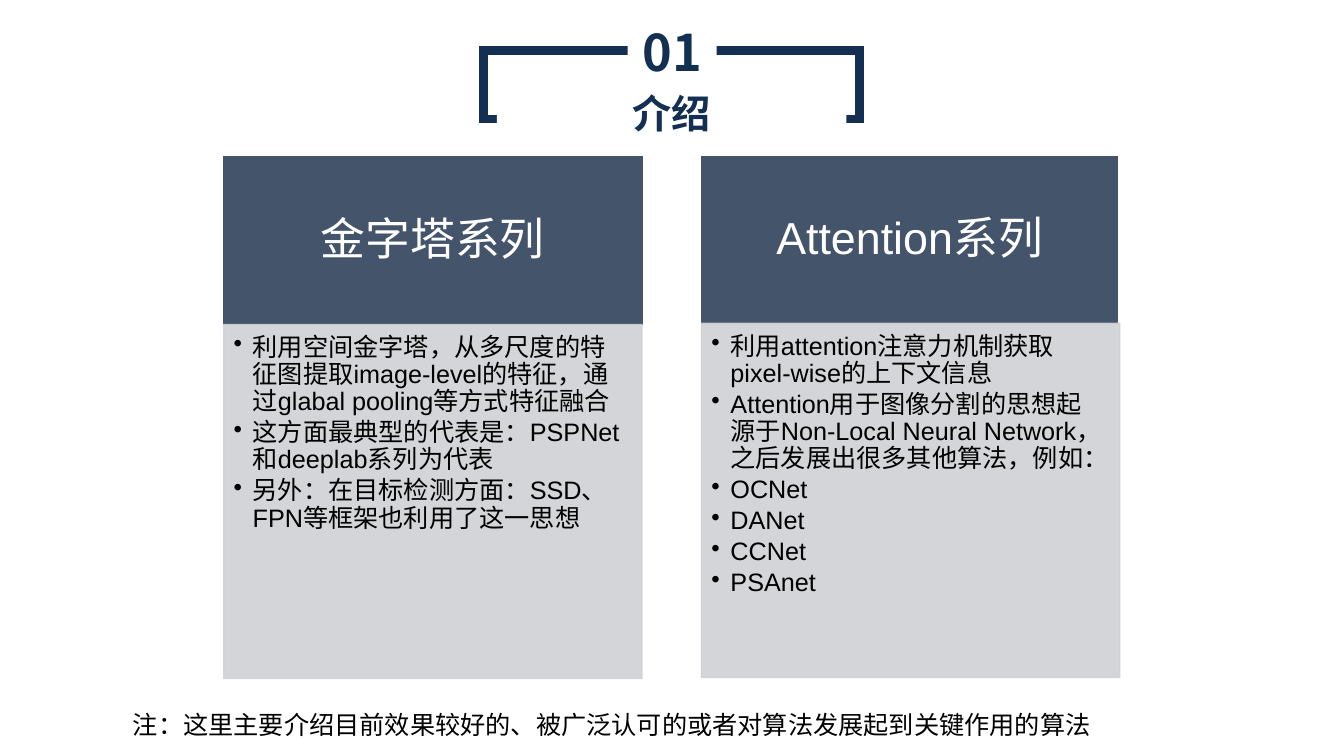
import lxml.etree
import pptx
import pptx.dml.color
import pptx.enum.shapes
import pptx.enum.text
import pptx.oxml.ns
import pptx.util

Cm = pptx.util.Cm
Pt = pptx.util.Pt
qn = pptx.oxml.ns.qn
ALIGN = pptx.enum.text.PP_ALIGN
ANCHOR = pptx.enum.text.MSO_ANCHOR

COLORS = {
    "navy": "132F52",
    "slate": "44546A",
    "grey": "CFD1D4",
    "white": "FFFFFF",
    "black": "000000",
}
PANEL_WIDTH = 10.54
PANEL_TOP = 3.96
BODY_HEIGHT = 8.92
BULLET_INDENT = 0.48

PANELS = [
    # title, left, header width, header height, points
    ("金字塔系列", 5.64, 10.54, 4.22, [
        "利用空间金字塔，从多尺度的特征图提取image-level的特征，通过glabal pooling等方式特征融合",
        "这方面最典型的代表是：PSPNet和deeplab系列为代表",
        "另外：在目标检测方面：SSD、FPN等框架也利用了这一思想",
    ]),
    ("Attention系列", 17.68, 10.49, 4.19, [
        "利用attention注意力机制获取pixel-wise的上下文信息",
        "Attention用于图像分割的思想起源于Non-Local Neural Network，之后发展出很多其他算法，例如：",
        "OCNet",
        "DANet",
        "CCNet",
        "PSAnet",
    ]),
]


def rgb(name):
    return pptx.dml.color.RGBColor.from_string(COLORS[name])


def add_rectangle(slide, box, fill=None, line=None, line_width=1):
    shape = slide.shapes.add_shape(
        pptx.enum.shapes.MSO_SHAPE.RECTANGLE, *(Cm(length) for length in box))
    shape.shadow.inherit = False
    if fill:
        shape.fill.solid()
        shape.fill.fore_color.rgb = rgb(fill)
    else:
        shape.fill.background()
    if line:
        shape.line.color.rgb = rgb(line)
        shape.line.width = Pt(line_width)
        lxml.etree.SubElement(shape.line._ln, qn("a:miter"), lim="800000")
    else:
        shape.line.fill.background()
    return shape


def set_opacity(shape, percent):
    """Apply the opacity to the fill and the outline."""
    for color in shape._element.spPr.iter(qn("a:srgbClr")):
        lxml.etree.SubElement(color, qn("a:alpha"), val=str(percent * 1000))


def set_frame(shape, anchor, insets):
    """Set wrapping, anchor and the left, top, right, bottom insets."""
    frame = shape.text_frame
    frame.word_wrap = True
    frame.vertical_anchor = anchor
    (frame.margin_left, frame.margin_top,
     frame.margin_right, frame.margin_bottom) = (Cm(inset) for inset in insets)
    return frame


def write(paragraph, text, size, color, align=ALIGN.CENTER, bold=False,
          font="Arial"):
    paragraph.alignment = align
    run = paragraph.add_run()
    run.text = text
    run.font.name = font
    run.font.size = Pt(size)
    run.font.bold = bold
    run.font.color.rgb = rgb(color)


def add_bullet(paragraph):
    properties = paragraph._p.get_or_add_pPr()
    properties.set("marL", str(Cm(BULLET_INDENT)))
    properties.set("indent", str(-Cm(BULLET_INDENT)))
    lxml.etree.SubElement(properties, qn("a:buChar"), char="•")


def add_heading(slide):
    add_rectangle(slide, (12.19, 1.27, 9.47, 1.73), line="navy", line_width=6)

    number = add_rectangle(slide, (15.82, 0.46, 2.24, 1.8), "white")
    frame = set_frame(number, ANCHOR.MIDDLE, (0.25, 0, 0.25, 0.15))
    write(frame.paragraphs[0], "01", 36, "navy", bold=True,
          font="Noto Sans CJK SC")

    title = add_rectangle(slide, (12.52, 2.11, 8.81, 1.45), "white")
    frame = set_frame(title, ANCHOR.MIDDLE, (0.25, 0, 0.25, 0))
    write(frame.paragraphs[0], "介绍", 28, "navy", bold=True)


def add_panel(slide, title, left, header_width, header_height, points):
    header = add_rectangle(
        slide, (left, PANEL_TOP, header_width, header_height), "slate", "slate")
    frame = set_frame(header, ANCHOR.MIDDLE, (0.64, 0.36, 0.64, 0.36))
    frame.paragraphs[0].line_spacing = 0.9
    write(frame.paragraphs[0], title, 32, "white")

    body = add_rectangle(
        slide, (left, PANEL_TOP + header_height, PANEL_WIDTH, BODY_HEIGHT),
        "grey", "grey")
    set_opacity(body, 90)
    frame = set_frame(body, ANCHOR.TOP, (0.25, 0.25, 0.36, 0.41))
    for index, point in enumerate(points):
        paragraph = frame.add_paragraph() if index else frame.paragraphs[0]
        add_bullet(paragraph)
        paragraph.line_spacing = 0.9
        paragraph.space_after = Pt(2.7)
        write(paragraph, point, 18, "black", ALIGN.LEFT)


def add_note(slide, text):
    note = slide.shapes.add_textbox(Cm(3.1), Cm(17.75), Cm(26.14), Cm(1.1))
    frame = set_frame(note, ANCHOR.TOP, (0.25, 0.13, 0.25, 0.13))
    write(frame.paragraphs[0], text, 18, "black", ALIGN.LEFT)


def main():
    presentation = pptx.Presentation()
    presentation.slide_width = Cm(33.87)
    presentation.slide_height = Cm(19.05)
    slide = presentation.slides.add_slide(presentation.slide_layouts[6])
    add_heading(slide)
    for panel in PANELS:
        add_panel(slide, *panel)
    add_note(slide, "注：这里主要介绍目前效果较好的、被广泛认可的或者对算法发展起到关键作用的算法")
    presentation.save("out.pptx")


if __name__ == "__main__":
    main()
